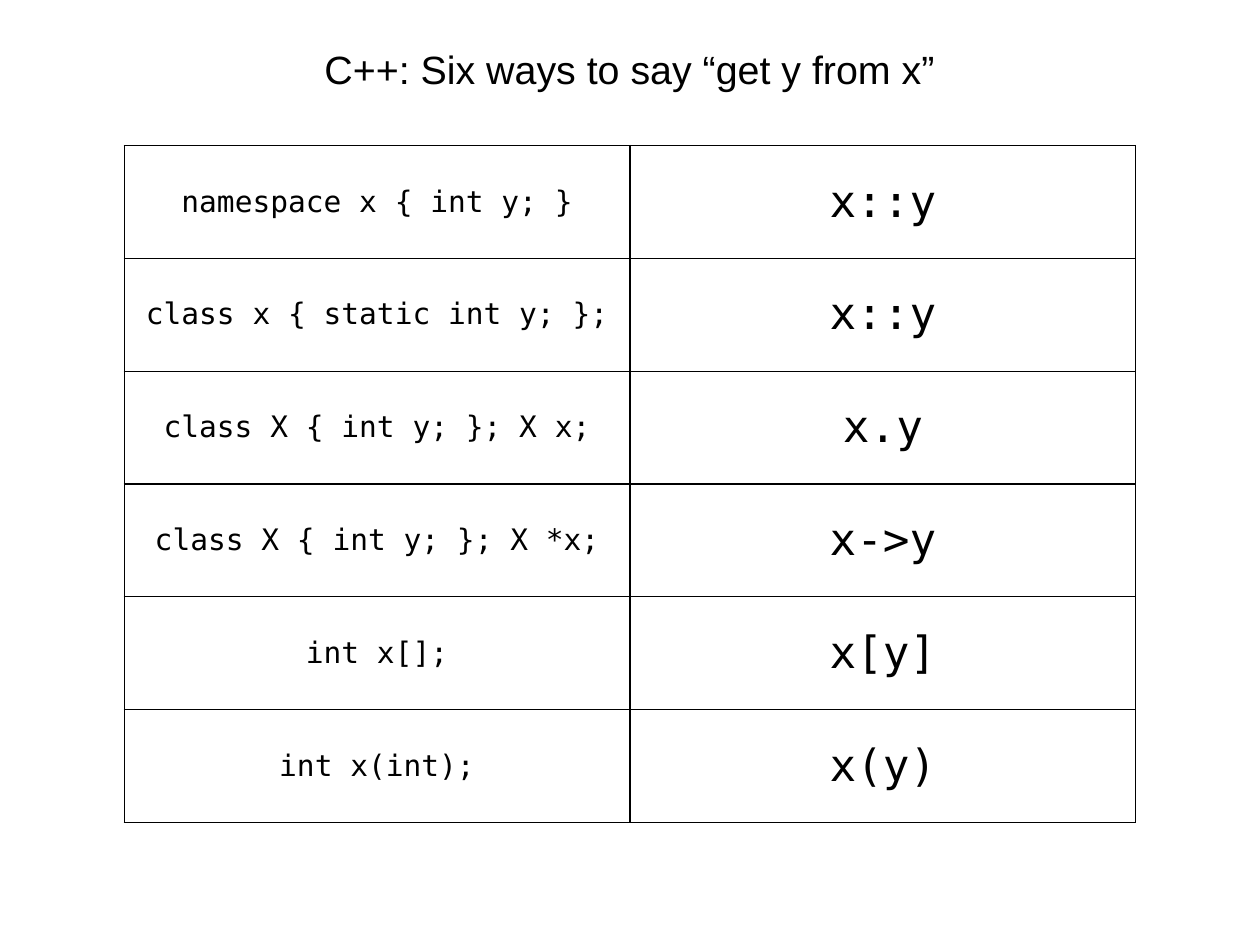
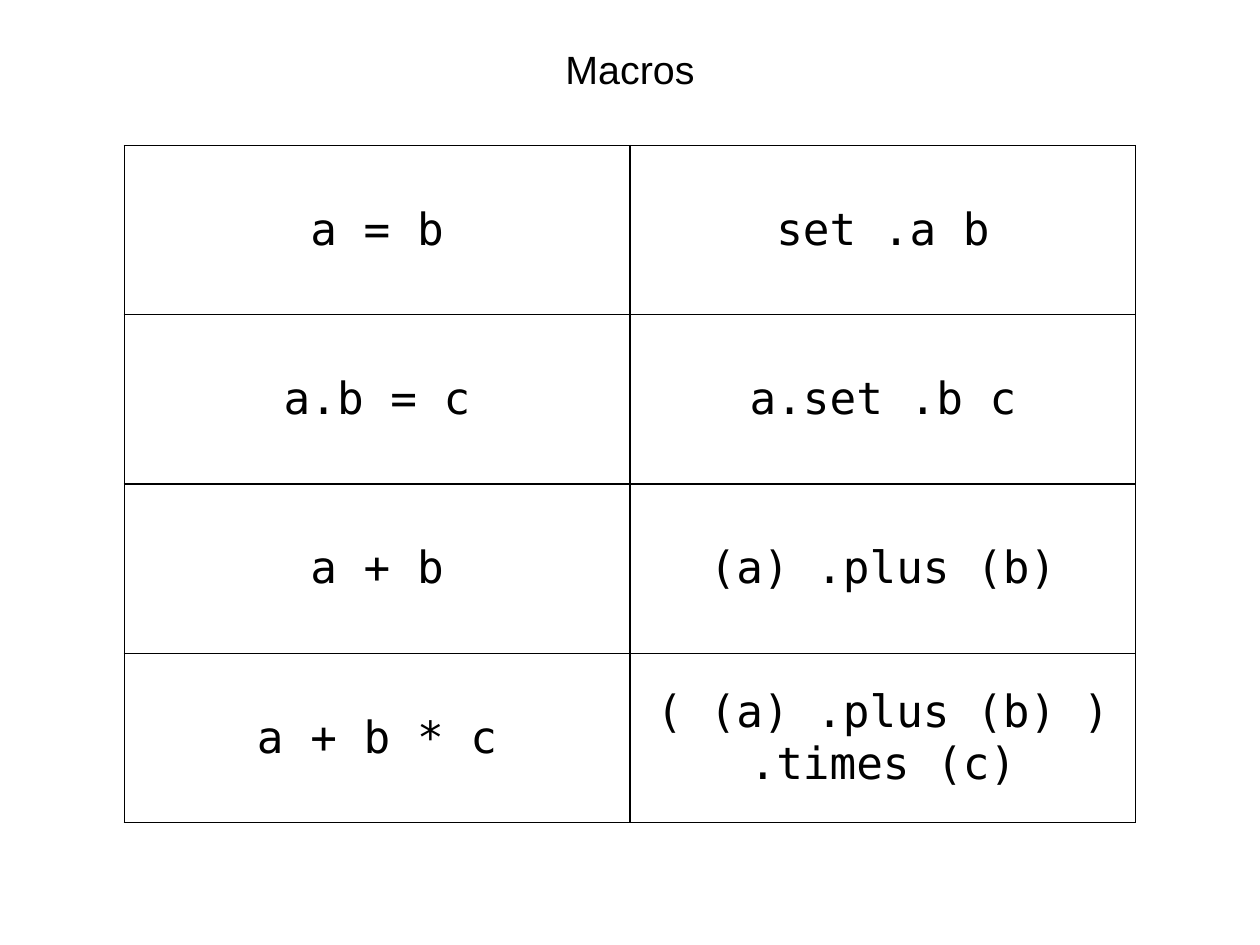
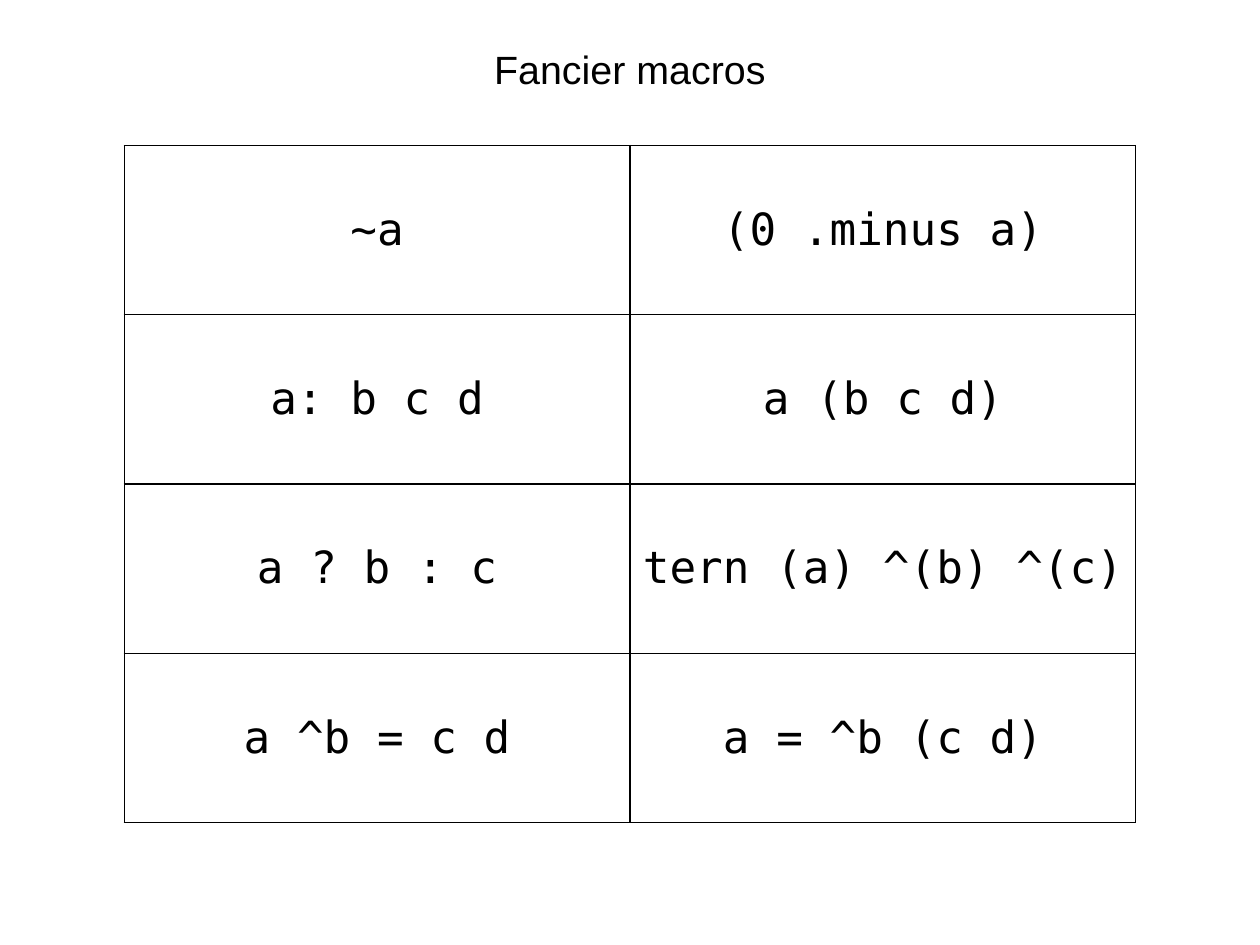
from dataclasses import dataclass

from lxml import etree
from pptx import Presentation
from pptx.dml.color import RGBColor
from pptx.enum.text import MSO_ANCHOR, PP_ALIGN
from pptx.oxml.ns import qn
from pptx.util import Inches, Pt

CENTER = PP_ALIGN.CENTER
MIDDLE = MSO_ANCHOR.MIDDLE

WIDE, HIGH = 14.22, 10.66
TITLE_BOX = (1.39, 0.28, 11.44, 0.99)
GRID_BOX = (1.4, 1.64, 11.42, 7.64)
PAD_X, PAD_Y = 0.06, 0.05
INK = "000000"
RULE = 0.96
SANS, MONO = "Arial", "DejaVu Sans Mono"
TITLE_ONLY = 5


@dataclass(frozen=True)
class Page:
    title: str
    rows: tuple[tuple[str, str], ...]
    sizes: tuple[int, int] = (36, 36)


PAGES = (
    Page(
        "C++: Six ways to say “get y from x”",
        (
            ("namespace x { int y; }", "x::y"),
            ("class x { static int y; };", "x::y"),
            ("class X { int y; }; X x;", "x.y"),
            ("class X { int y; }; X *x;", "x->y"),
            ("int x[];", "x[y]"),
            ("int x(int);", "x(y)"),
        ),
        sizes=(24, 36),
    ),
    Page(
        "Macros",
        (
            ("a = b", "set .a b"),
            ("a.b = c", "a.set .b c"),
            ("a + b", "(a) .plus (b)"),
            ("a + b * c", "( (a) .plus (b) )\n.times (c)"),
        ),
    ),
    Page(
        "Fancier macros",
        (
            ("~a", "(0 .minus a)"),
            ("a: b c d", "a (b c d)"),
            ("a ? b : c", "tern (a) ^(b) ^(c)"),
            ("a ^b = c d", "a = ^b (c d)"),
        ),
    ),
)


def tint(code: str) -> RGBColor:
    return RGBColor.from_string(code)


def write(frame, text: str, *, size: float, font: str,
          color: str = INK, align=CENTER) -> None:
    """Fill a text frame, one paragraph for each line of text."""
    frame.text = text
    for para in frame.paragraphs:
        para.alignment = align
        for run in para.runs:
            run.font.size = Pt(size)
            run.font.name = font
            run.font.bold = False
            run.font.color.rgb = tint(color)


def edge(cell, color: str = INK, width: float = RULE) -> None:
    """Rule all four sides of a table cell."""
    props = cell._tc.get_or_add_tcPr()
    for side in ("lnL", "lnR", "lnT", "lnB"):
        line = etree.SubElement(props, qn(f"a:{side}"), w=str(Pt(width)))
        fill = etree.SubElement(line, qn("a:solidFill"))
        etree.SubElement(fill, qn("a:srgbClr"), val=color)


def add_title(slide, text: str) -> None:
    title = slide.shapes.title
    title.left, title.top, title.width, title.height = map(Inches, TITLE_BOX)
    frame = title.text_frame
    frame.word_wrap = True
    frame.vertical_anchor = MIDDLE
    frame.margin_left = frame.margin_right = Inches(PAD_X)
    frame.margin_top = frame.margin_bottom = Inches(PAD_X)
    write(frame, text, size=32, font=SANS)


def add_grid(slide, page: Page) -> None:
    count = len(page.rows)
    box = map(Inches, GRID_BOX)
    table = slide.shapes.add_table(count, len(page.sizes), *box).table
    table.first_row = table.horz_banding = False
    for row, texts in enumerate(page.rows):
        for col, (text, size) in enumerate(zip(texts, page.sizes)):
            cell = table.cell(row, col)
            cell.vertical_anchor = MIDDLE
            cell.margin_left = cell.margin_right = Inches(PAD_X)
            cell.margin_top = cell.margin_bottom = Inches(PAD_Y)
            edge(cell)
            cell.fill.background()
            write(cell.text_frame, text, size=size, font=MONO)


def main() -> None:
    deck = Presentation()
    deck.slide_width, deck.slide_height = Inches(WIDE), Inches(HIGH)
    for page in PAGES:
        slide = deck.slides.add_slide(deck.slide_layouts[TITLE_ONLY])
        add_title(slide, page.title)
        add_grid(slide, page)
    deck.save("out.pptx")


if __name__ == "__main__":
    main()
